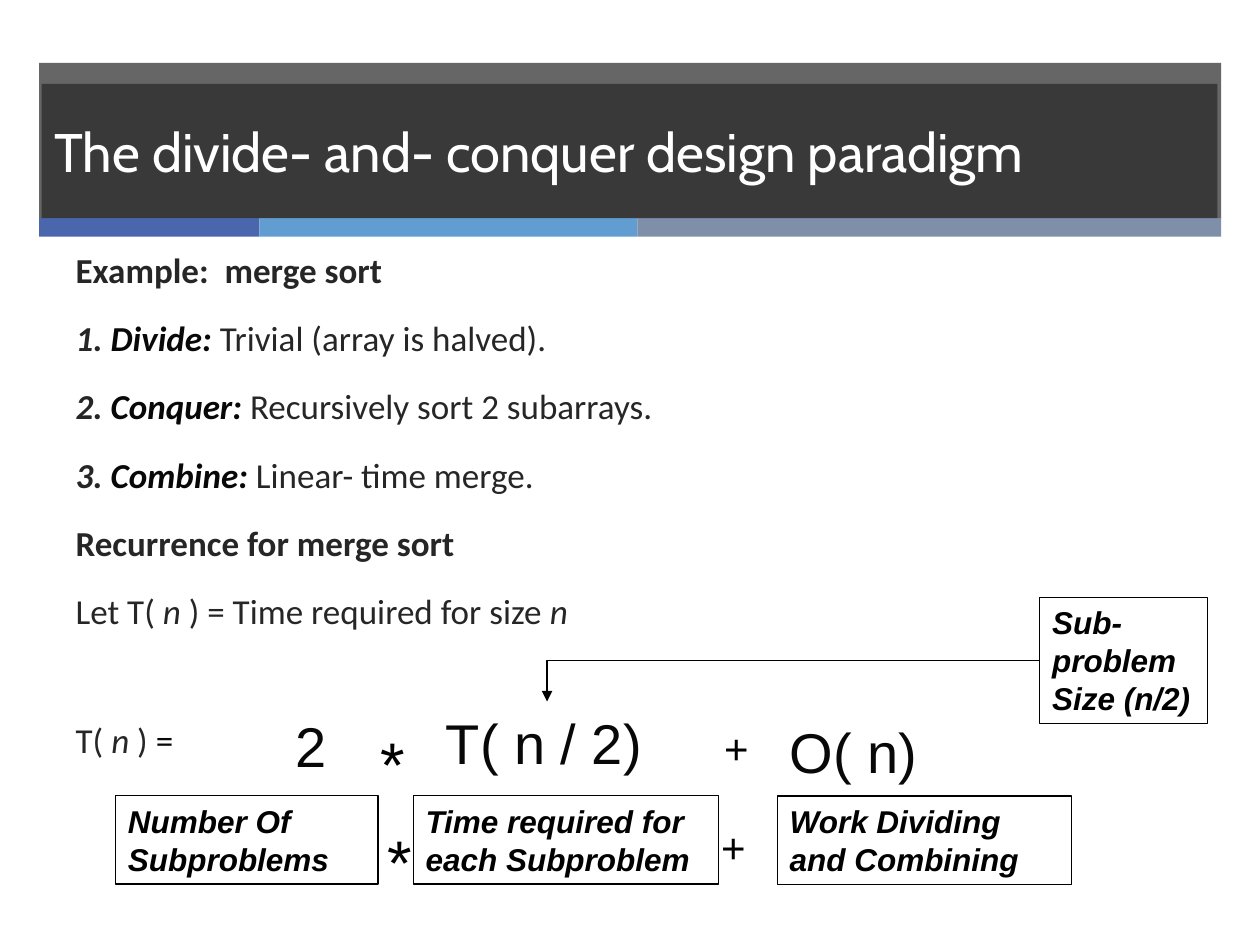
from lxml import etree
from pptx import Presentation
from pptx import util as u
from pptx.dml.color import RGBColor
from pptx.enum import shapes, text
from pptx.oxml.ns import qn

Cm, Pt = u.Cm, u.Pt
COLORS = {
    "dark": "262626", "ink": "080808", "black": "000000", "white": "FFFFFF",
    "blue": "4A66AC", "sky": "629DD1", "slate": "7F8FA9",
}


def add_run(p, words, font="Arial", size=18, color="black", bold=False, italic=False):
    r = p.add_run()
    r.text = words
    r.font.name, r.font.size = font, Pt(size)
    r.font.bold, r.font.italic = bold, italic
    r.font.color.rgb = RGBColor.from_string(COLORS[color])


def fill_shape(sp, color, alpha=100):
    sp.fill.solid()
    sp.fill.fore_color.rgb = RGBColor.from_string(COLORS[color])
    sp.line.fill.background()
    clr = sp.fill._xPr.find(qn("a:solidFill"))[0]
    etree.SubElement(clr, qn("a:alpha"), val=str(alpha * 1000))


prs = Presentation()
prs.slide_width, prs.slide_height = Cm(25.4), Cm(19.05)
s = prs.slides.add_slide(prs.slide_layouts[1])
title, body = s.placeholders

# Header band and its coloured strip
for x, y, w, h, color, alpha in [
    (0.79, 1.27, 23.83, 3.14, "dark", 70),
    (0.79, 4.4, 4.44, 0.37, "blue", 100),
    (5.23, 4.4, 7.62, 0.37, "sky", 100),
    (12.85, 4.4, 11.77, 0.37, "slate", 100),
]:
    sp = s.shapes.add_shape(shapes.MSO_SHAPE.RECTANGLE, Cm(x), Cm(y), Cm(w), Cm(h))
    sp.shadow.inherit = False
    fill_shape(sp, color, alpha)

# Title, brought in front of the band
title.element.getparent().append(title.element)
title.left, title.top, title.width, title.height = Cm(0.84), Cm(1.69), Cm(23.7), Cm(2.71)
fill_shape(title, "dark", 70)
tf = title.text_frame
tf.auto_size = text.MSO_AUTO_SIZE.NONE
tf.vertical_anchor = text.MSO_ANCHOR.MIDDLE
tf.paragraphs[0].alignment = text.PP_ALIGN.LEFT
add_run(tf.paragraphs[0], "The divide- and- conquer design paradigm",
        font="Cabin", size=31, color="white")

# Body list
body.left, body.top, body.width, body.height = Cm(1.27), Cm(4.88), Cm(23.28), Cm(13.12)
BOLD, ITALIC = {"bold": True}, {"italic": True}
STEP = {"bold": True, "italic": True}
TERM = {**STEP, "color": "ink"}
lines = [
    [("Example:  merge sort", BOLD)],
    [("1. ", STEP), ("Divide: ", TERM), ("Trivial (array is halved).", {})],
    [("2. ", STEP), ("Conquer: ", TERM), ("Recursively sort 2 subarrays.", {})],
    [("3. ", STEP), ("Combine: ", TERM), ("Linear- time merge.", {})],
    [("Recurrence for merge sort", BOLD)],
    [("Let T( ", {}), ("n", ITALIC), (" ) = Time required for size ", {}), ("n", ITALIC)],
    [("T( ", {}), ("n", ITALIC), (" ) ", {}), ("=", {"color": "ink"})],
]
tf = body.text_frame
tf.auto_size = text.MSO_AUTO_SIZE.NONE
for i, line in enumerate(lines):
    p = tf.paragraphs[0] if i == 0 else tf.add_paragraph()
    p.space_before = Pt(49.5 if line is lines[-1] else 15)
    pPr = p._p.get_or_add_pPr()
    pPr.set("marL", str(Cm(0.94)))
    pPr.set("indent", str(-Cm(0.94)))
    etree.SubElement(pPr, qn("a:buNone"))
    for words, style in line:
        add_run(p, words, **{"font": "Calibri", "size": 20, "color": "dark", **style})

# Terms of the recurrence and the operators between them
for words, x, y, w, h, size, color in [
    ("2", 5.71, 14.22, 1.47, 1.63, 32, "ink"),
    ("*", 7.42, 14.48, 1.47, 1.78, 36, "black"),
    ("T( n / 2)", 8.74, 14.15, 4.6, 1.63, 32, "ink"),
    ("+", 14.35, 14.45, 1.47, 1.27, 24, "black"),
    ("O( n)", 15.67, 14.33, 3.18, 1.63, 32, "ink"),
    ("*", 7.57, 16.46, 1.47, 1.78, 36, "black"),
    ("+", 14.29, 16.44, 1.47, 1.27, 24, "black"),
]:
    tf = s.shapes.add_textbox(Cm(x), Cm(y), Cm(w), Cm(h)).text_frame
    tf.word_wrap = True
    add_run(tf.paragraphs[0], words, size=size, color=color)

# Boxes that explain the terms
for words, x, y, w, h in [
    (["Number Of Subproblems"], 2.33, 16.04, 5.29, 1.78),
    (["Time required for each Subproblem"], 8.33, 16.04, 6.15, 1.78),
    (["Work Dividing and Combining"], 15.67, 16.05, 5.93, 1.78),
    (["Sub-problem", "Size (n/2)"], 20.96, 12.04, 3.39, 2.54),
]:
    box = s.shapes.add_shape(shapes.MSO_SHAPE.RECTANGLE, Cm(x), Cm(y), Cm(w), Cm(h))
    box.shadow.inherit = False
    box.fill.background()
    box.line.color.rgb = RGBColor.from_string(COLORS["black"])
    box.line.width = Pt(0.75)
    tf = box.text_frame
    tf.word_wrap = True
    tf.vertical_anchor = text.MSO_ANCHOR.TOP
    for i, words_line in enumerate(words):
        p = tf.paragraphs[0] if i == 0 else tf.add_paragraph()
        p.alignment = text.PP_ALIGN.LEFT
        add_run(p, words_line, bold=True, italic=True)

# Elbow arrow from the last box (sub-problem size) down to T(n/2)
arrow = s.shapes.add_connector(shapes.MSO_CONNECTOR.ELBOW,
                               Cm(20.96), Cm(13.31), Cm(11.03), Cm(14.14))
arrow.begin_connect(box, 1)
arrow.line.color.rgb = RGBColor.from_string(COLORS["black"])
arrow.line.width = Pt(0.75)
spPr = arrow.element.spPr
spPr.find(qn("a:prstGeom")).set("prst", "bentConnector2")
etree.SubElement(spPr.find(qn("a:ln")), qn("a:tailEnd"), type="triangle")
etree.SubElement(spPr, qn("a:effectLst"))

prs.save("out.pptx")
